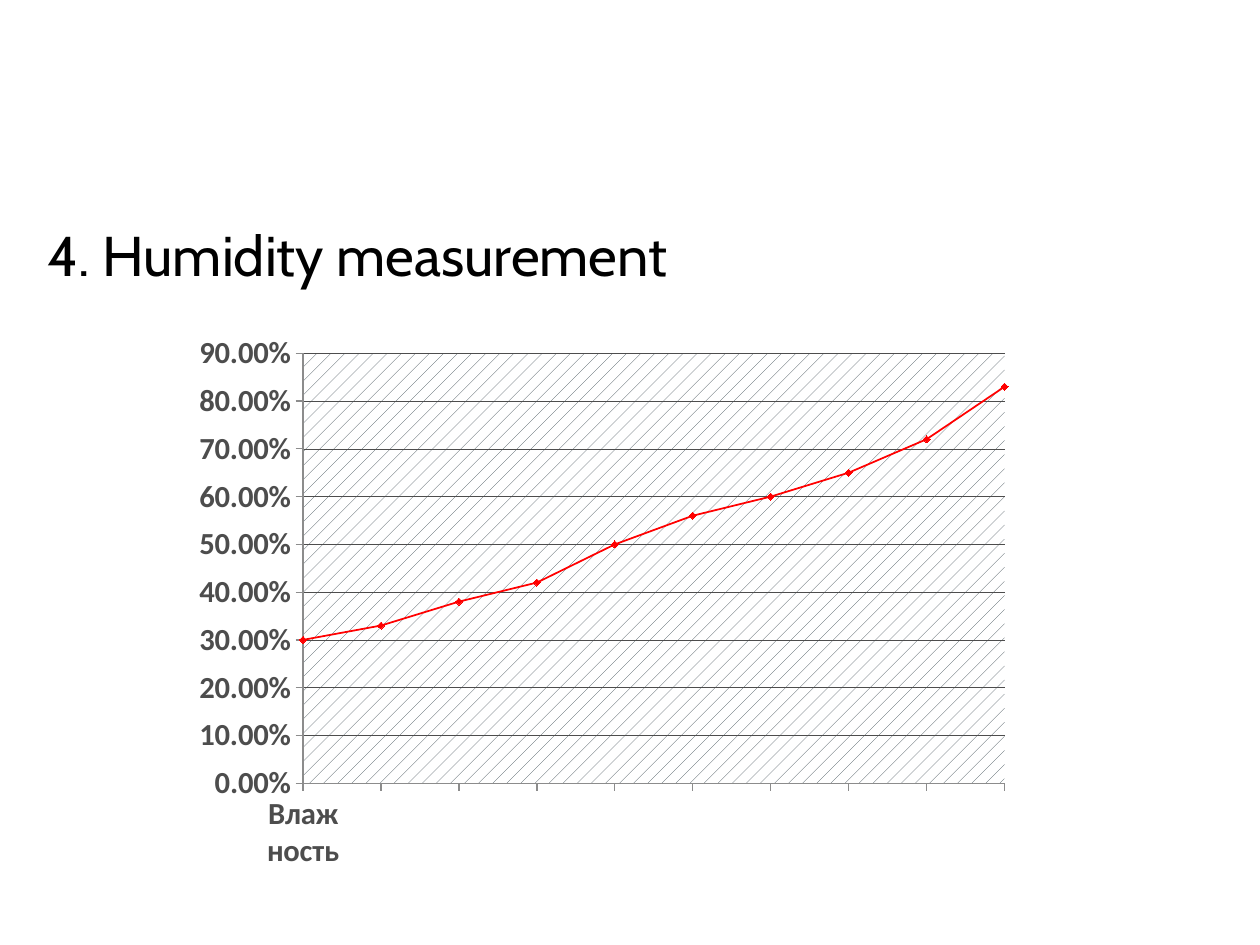
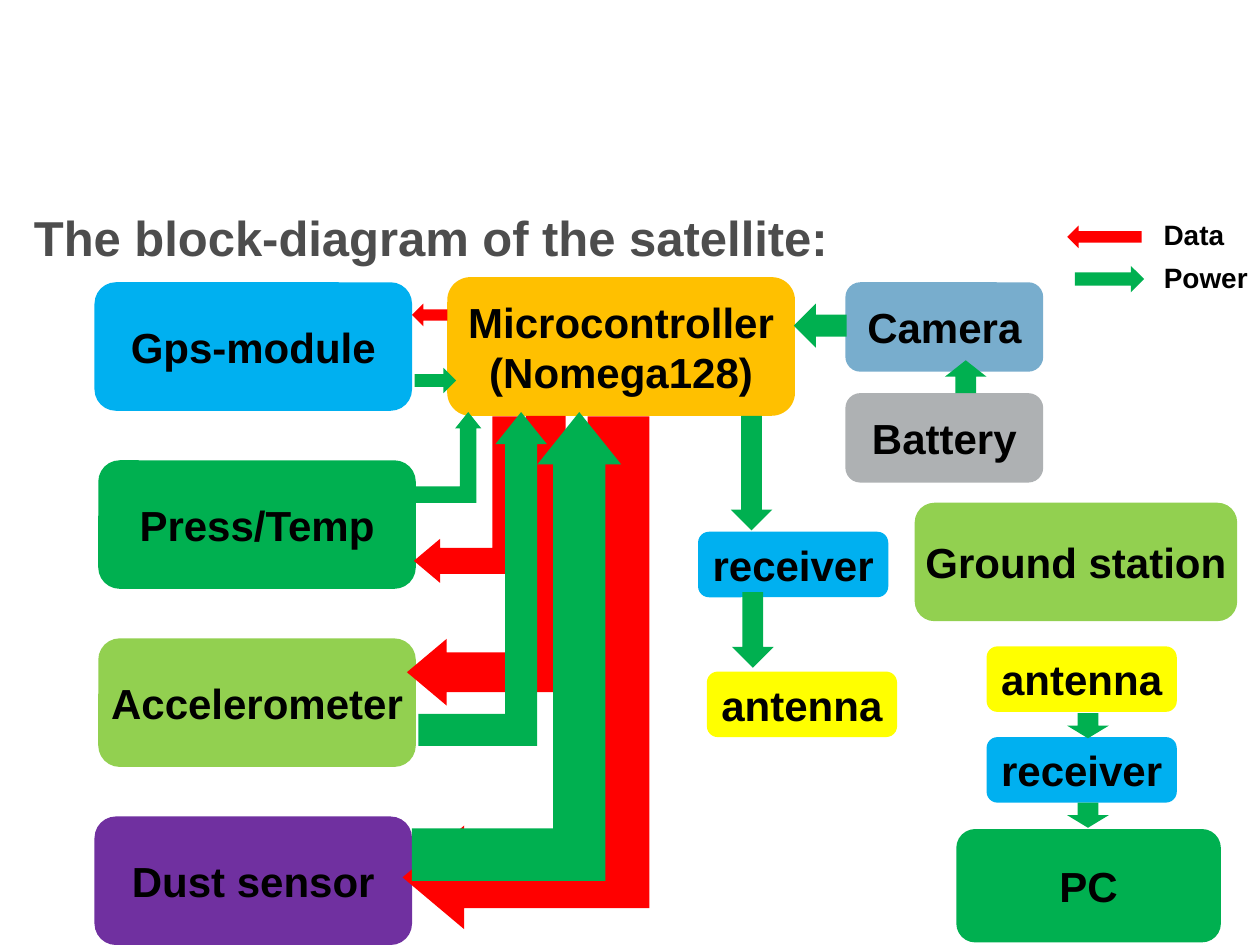
"""Build two slides: a humidity chart and the block diagram of a satellite."""
from lxml import etree
from pptx import Presentation
from pptx import util as u
from pptx.chart.data import CategoryChartData
from pptx.dml.color import RGBColor
from pptx.enum import chart as charts, shapes, text
from pptx.oxml.ns import qn

COLORS = {
    "black": "000000", "grey": "4D4D4D", "axis": "8C8C8C", "red": "FF0000",
    "green": "00B050", "lime": "92D050", "blue": "00B0F0", "steel": "78ADCD",
    "silver": "AEB1B3", "orange": "FFC000", "yellow": "FFFF00",
    "purple": "7030A0", "hatch": "3A4750", "white": "FFFFFF",
}
KINDS = shapes.MSO_SHAPE


def write(box, lines, size=24, color="black", font="Arial", bold=True,
          align=text.PP_ALIGN.CENTER, anchor=text.MSO_ANCHOR.MIDDLE, wrap=False):
    frame = box.text_frame
    frame.text = lines
    frame.word_wrap = wrap
    frame.auto_size = text.MSO_AUTO_SIZE.NONE
    frame.vertical_anchor = anchor
    for para in frame.paragraphs:
        para.alignment = align
        para.space_before = u.Pt(0)
        for span in para.runs:
            span.font.size = u.Pt(size)
            span.font.name = font
            span.font.bold = bold
            span.font.color.rgb = RGBColor.from_string(COLORS[color])


def add_filled(page, kind, color, place):
    shape = page.shapes.add_shape(kind, *map(u.Inches, place))
    shape.shadow.inherit = False
    shape.fill.solid()
    shape.fill.fore_color.rgb = RGBColor.from_string(COLORS[color])
    shape.line.fill.background()
    return shape


deck = Presentation()
deck.slide_width, deck.slide_height = u.Inches(10), u.Inches(7.5)
title_only = deck.slide_layouts[5]

titles = [
    ("4. Humidity measurement", (0.28, 1.7, 8, 0.7),
     dict(size=32, font="Cabin", bold=False, align=text.PP_ALIGN.LEFT, wrap=True)),
    ("The block-diagram of the satellite:", (0.13, 1.6, 6.58, 0.57),
     dict(size=28, color="grey")),
]
pages = []
for wording, place, style in titles:
    page = deck.slides.add_slide(title_only)
    title = page.shapes.title
    title.left, title.top, title.width, title.height = map(u.Inches, place)
    write(title, wording, anchor=text.MSO_ANCHOR.TOP, **style)
    pages.append(page)
chart_page, diagram_page = pages

data = CategoryChartData(number_format="0.00%")
data.categories = ["Влажность"]
data.add_series("Series 1", [0.3, 0.33, 0.38, 0.42, 0.5, 0.56, 0.6, 0.65, 0.72, 0.83])
chart = chart_page.shapes.add_chart(
    charts.XL_CHART_TYPE.LINE_MARKERS,
    *map(u.Inches, (0.43, 2.49, 8.98, 4.49)), data).chart
chart.has_title = False
chart.has_legend = False
chart.font.size = u.Pt(17.5)
chart.font.name = "Calibri"
chart.font.bold = True
chart.font.color.rgb = RGBColor.from_string(COLORS["grey"])

humidity = chart.plots[0].series[0]
red = RGBColor.from_string(COLORS["red"])
humidity.smooth = False
humidity.format.line.color.rgb = red
humidity.format.line.width = u.Pt(1)
humidity.marker.style = charts.XL_MARKER_STYLE.DIAMOND
humidity.marker.size = 4
humidity.marker.format.fill.solid()
humidity.marker.format.fill.fore_color.rgb = red
humidity.marker.format.line.color.rgb = red

for axis in (chart.category_axis, chart.value_axis):
    axis.major_tick_mark = charts.XL_TICK_MARK.OUTSIDE
    axis.format.line.color.rgb = RGBColor.from_string(COLORS["axis"])
scale = chart.value_axis
scale.minimum_scale, scale.maximum_scale, scale.major_unit = 0, 0.9, 0.1
scale.tick_labels.number_format = "0.00%"
scale.tick_labels.number_format_is_linked = False
scale.has_major_gridlines = True
scale.major_gridlines.format.line.color.rgb = RGBColor.from_string(COLORS["grey"])
scale.major_gridlines.format.line.width = u.Pt(0.25)

scale_xml = scale._element
for crossing in scale_xml.findall(qn("c:crossBetween")):
    scale_xml.remove(crossing)
crossing = etree.Element(qn("c:crossBetween"), val="midCat")
scale_xml.find(qn("c:crosses")).addnext(crossing)

plot_area = chart._chartSpace.chart.plotArea
for layout in plot_area.findall(qn("c:layout")):
    plot_area.remove(layout)
layout = etree.Element(qn("c:layout"))
plot_area.insert(0, layout)
manual = etree.SubElement(layout, qn("c:manualLayout"))
for tag, value in [("layoutTarget", "inner"), ("xMode", "edge"), ("yMode", "edge"),
                   ("x", "0.22"), ("y", "0.07"), ("w", "0.62"), ("h", "0.76")]:
    etree.SubElement(manual, qn(f"c:{tag}"), val=value)
plot_style = etree.SubElement(plot_area, qn("c:spPr"))
pattern = etree.SubElement(plot_style, qn("a:pattFill"), prst="pct10")
for tag, color in [("fgClr", "hatch"), ("bgClr", "white")]:
    layer = etree.SubElement(pattern, qn(f"a:{tag}"))
    etree.SubElement(layer, qn("a:srgbClr"), val=COLORS[color])

blocks = [
    ("Microcontroller\n(Nomega128)", "orange", (3.55, 2.2, 2.76, 1.1)),
    ("Camera", "steel", (6.71, 2.24, 1.57, 0.71)),
    ("Battery", "silver", (6.71, 3.12, 1.57, 0.71)),
    ("Ground station", "lime", (7.26, 3.99, 2.56, 0.94)),
    ("antenna", "yellow", (7.83, 5.13, 1.51, 0.52)),
    ("receiver", "blue", (7.83, 5.85, 1.51, 0.52)),
    ("PC", "green", (7.59, 6.58, 2.1, 0.9)),
    ("antenna", "yellow", (5.61, 5.33, 1.51, 0.52)),
    ("receiver", "blue", (5.54, 4.22, 1.51, 0.52)),
]
sensors = [("Gps-module", "blue", 0.75), ("Press/Temp", "green", 0.78),
           ("Accelerometer", "lime", 0.78), ("Dust sensor", "purple", 0.75)]
for row, (label, color, left) in enumerate(sensors):
    top = 2.24 + row * (6.48 - 2.24) / 3
    blocks.append((label, color, (left, top, 2.52, 1.02)))
for label, color, place in blocks:
    write(add_filled(diagram_page, KINDS.ROUNDED_RECTANGLE, color, place), label)

data_paths = [(3.04, 3.55, 1.32, 0.83), (2.71, 3.82, 2.3, 1.26), (2.14, 4.36, 4.07, 1.96)]
power_paths = [(3.3, 3.27, 0.52, 0.72), (3.32, 3.27, 1.02, 2.65), (3.27, 3.27, 1.66, 3.72)]
bent_arrows = [("red", place) for place in data_paths]
bent_arrows += [("green", place) for place in power_paths]
for color, place in bent_arrows:
    arrow = add_filled(diagram_page, KINDS.BENT_UP_ARROW, color, place)
    arrow.adjustments[1] = 0.21 if color == "red" else 0.2
    if color == "red":
        arrow.rotation = 90
        arrow._element.spPr.find(qn("a:xfrm")).set("flipV", "1")

arrows = [
    (KINDS.RIGHT_ARROW, "green", (3.29, 2.92, 0.33, 0.2)),
    (KINDS.LEFT_ARROW, "red", (3.27, 2.41, 0.28, 0.18)),
    (KINDS.LEFT_ARROW, "green", (6.3, 2.41, 0.42, 0.35)),
    (KINDS.UP_ARROW, "green", (7.5, 2.86, 0.33, 0.26)),
    (KINDS.DOWN_ARROW, "green", (8.47, 5.66, 0.33, 0.2)),
    (KINDS.DOWN_ARROW, "green", (8.47, 6.37, 0.33, 0.2)),
    (KINDS.DOWN_ARROW, "green", (5.8, 3.3, 0.33, 0.91)),
    (KINDS.DOWN_ARROW, "green", (5.81, 4.7, 0.33, 0.6)),
    (KINDS.LEFT_ARROW, "red", (8.47, 1.79, 0.59, 0.18)),
    (KINDS.RIGHT_ARROW, "green", (8.53, 2.11, 0.55, 0.21)),
]
for kind, color, place in arrows:
    add_filled(diagram_page, kind, color, place)

for label, place in [("Data", (9.13, 1.68, 0.69, 0.37)), ("Power", (9.13, 2.02, 0.88, 0.37))]:
    legend = diagram_page.shapes.add_textbox(*map(u.Inches, place))
    write(legend, label, size=16, anchor=text.MSO_ANCHOR.TOP)

deck.save("out.pptx")
